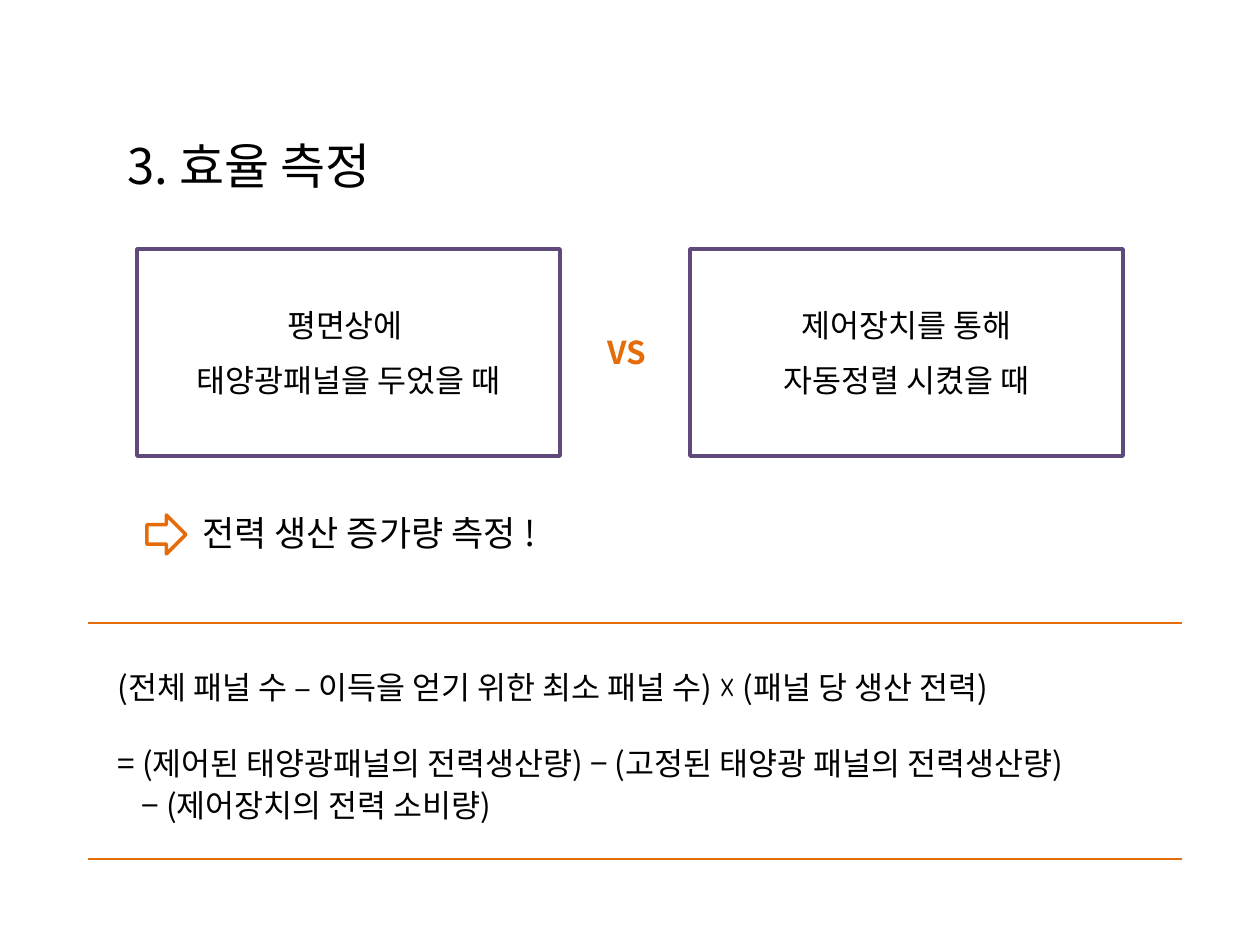
from pptx import Presentation
from pptx import util as u
from pptx.dml import color
from pptx.enum import shapes, text
from pptx.oxml import ns
from lxml import etree

PX = u.Inches(1) / 126
FONT = "Noto Sans CJK KR"
BLACK, WHITE, PURPLE, ORANGE = "000000", "FFFFFF", "604A7B", "E46C0A"


def px(length):
    """Turn a pixel length into EMU."""
    return u.Emu(round(length * PX))


def rgb(value):
    """Turn a hex string into a colour."""
    return color.RGBColor.from_string(value)


def place(item, box):
    """Move an object into a pixel box and return it."""
    item.left, item.top, item.width, item.height = map(px, box)
    return item


def set_up_frame(frame, wrap=True, anchor=text.MSO_ANCHOR.TOP):
    """Set the wrapping and anchoring of a text frame and return it."""
    frame.word_wrap = wrap
    frame.auto_size = text.MSO_AUTO_SIZE.NONE
    frame.vertical_anchor = anchor
    return frame


def write(para, words, size=18, hue=BLACK, bold=False, align=text.PP_ALIGN.LEFT, before=0, indent=0):
    """Write one formatted paragraph without a bullet."""
    para.alignment = align
    para.space_before = u.Pt(before)
    props = para._p.get_or_add_pPr()
    props.set("marL", str(px(indent)))
    props.set("indent", "0")
    etree.SubElement(props, ns.qn("a:buNone"))
    span = para.add_run()
    span.text = words
    span.font.size, span.font.bold, span.font.name = u.Pt(size), bold, FONT
    span.font.color.rgb = rgb(hue)
    etree.SubElement(span._r.get_or_add_rPr(), ns.qn("a:ea"), typeface=FONT)


def add_label(page, box, words, **style):
    """Add a one-line text box."""
    label = page.shapes.add_textbox(*map(px, box))
    write(set_up_frame(label.text_frame, wrap=False).paragraphs[0], words, **style)


def add_outline(page, preset, box, hue):
    """Add a preset shape with a white fill and a coloured outline."""
    shape = page.shapes.add_shape(preset, *map(px, box))
    shape.shadow.inherit = False
    shape.fill.solid()
    shape.fill.fore_color.rgb = rgb(WHITE)
    shape.line.color.rgb = rgb(hue)
    shape.line.width = u.Pt(2)
    return shape


def add_rule(page, left, top, width):
    """Add a horizontal orange line."""
    rule = page.shapes.add_connector(
        shapes.MSO_CONNECTOR.STRAIGHT, px(left), px(top), px(left + width), px(top))
    rule.line.color.rgb = rgb(ORANGE)
    rule.line.width = u.Pt(1.5)
    etree.SubElement(rule._element.spPr, ns.qn("a:effectLst"))


def fill_title(page, box):
    """Place and write the slide title."""
    title = place(page.shapes.title, box)
    write(set_up_frame(title.text_frame, wrap=False).paragraphs[0], "3. 효율 측정", size=28)


def add_case(page, box, lines):
    """Add a framed case with centred lines."""
    case = add_outline(page, shapes.MSO_SHAPE.RECTANGLE, box, PURPLE)
    frame = set_up_frame(case.text_frame, anchor=text.MSO_ANCHOR.MIDDLE)
    for index, line in enumerate(lines):
        para = frame.add_paragraph() if index else frame.paragraphs[0]
        write(para, line, align=text.PP_ALIGN.CENTER, before=9.5 * index)


def add_comparison(page, box):
    """Add the two cases with VS between them."""
    left, top, width, height = box
    add_case(page, (left, top, 423, height), ["평면상에 ", "태양광패널을 두었을 때"])
    add_case(page, (left + width - 433, top, 433, height), ["제어장치를 통해", "자동정렬 시켰을 때"])
    add_label(page, (left + 458, top + 78, 64, 50), "VS", hue=ORANGE, bold=True)


def add_conclusion(page, box):
    """Add the arrow and the conclusion beside it."""
    left, top, width, height = box
    add_outline(page, shapes.MSO_SHAPE.RIGHT_ARROW, (left, top + 10, 39, 39), ORANGE)
    add_label(page, (left + 43, top, width - 43, height), "전력 생산 증가량 측정 !", size=20)


def add_formula(page, box):
    """Write the formula in the body placeholder between two lines."""
    left, top, width, height = box
    body = place(page.placeholders[1], (left + 17, top + 39, width - 6, height - 41))
    frame = set_up_frame(body.text_frame)
    write(frame.paragraphs[0], "(전체 패널 수 – 이득을 얻기 위한 최소 패널 수) ☓ (패널 당 생산 전력)")
    write(frame.add_paragraph(), "= (제어된 태양광패널의 전력생산량) − (고정된 태양광 패널의 전력생산량)", before=21.5)
    write(frame.add_paragraph(), "− (제어장치의 전력 소비량)", before=2.5, indent=24)
    for edge in (top, top + height):
        add_rule(page, left, edge, width)


def main():
    """Build and save the slide."""
    deck = Presentation()
    deck.slide_width, deck.slide_height = px(1260), px(945)
    page = deck.slides.add_slide(deck.slide_layouts[1])
    fill_title(page, (115, 129, 295, 72))
    add_comparison(page, (137, 249, 986, 207))
    add_conclusion(page, (147, 505, 444, 55))
    add_formula(page, (88, 623, 1094, 236))
    deck.save("out.pptx")


if __name__ == "__main__":
    main()
